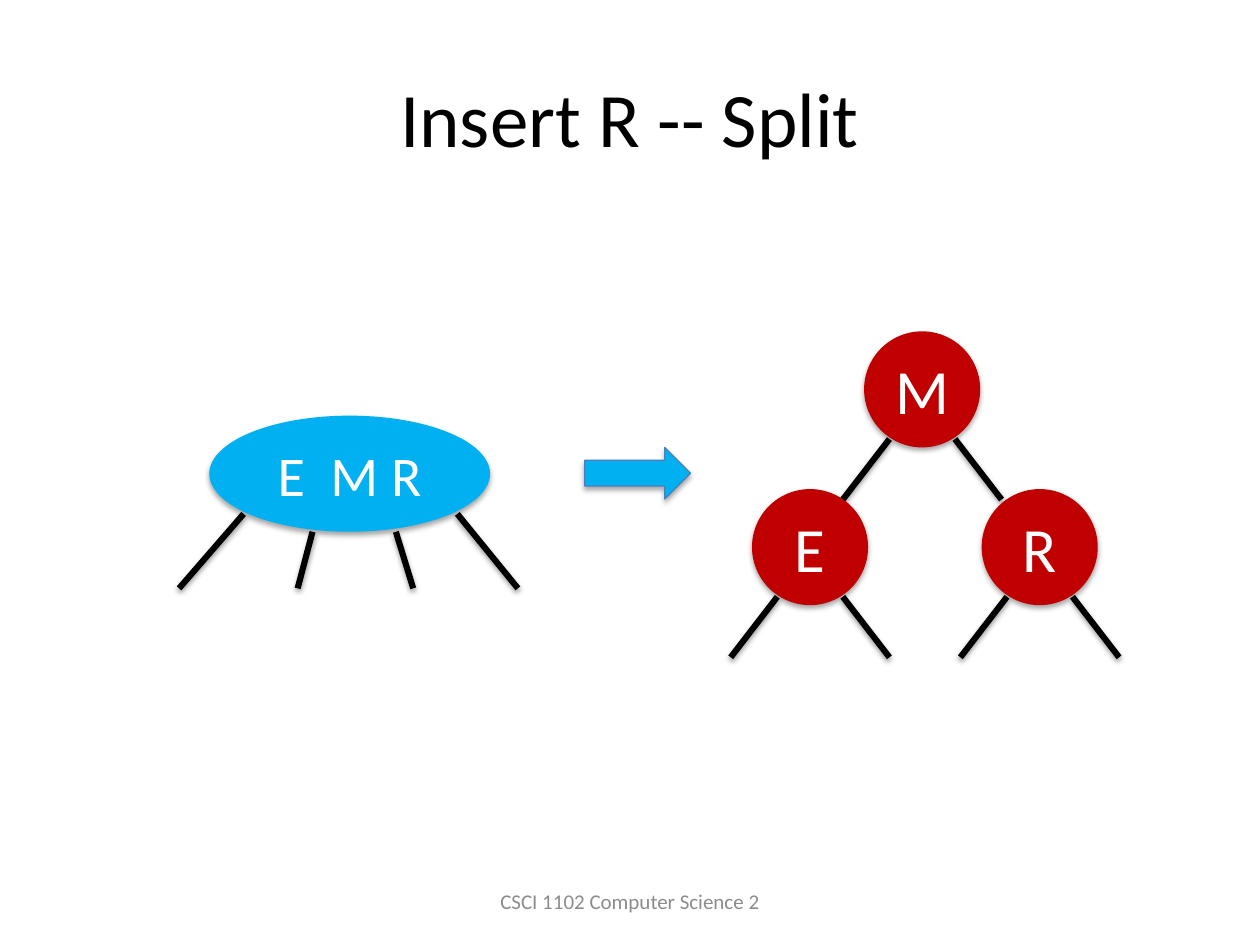
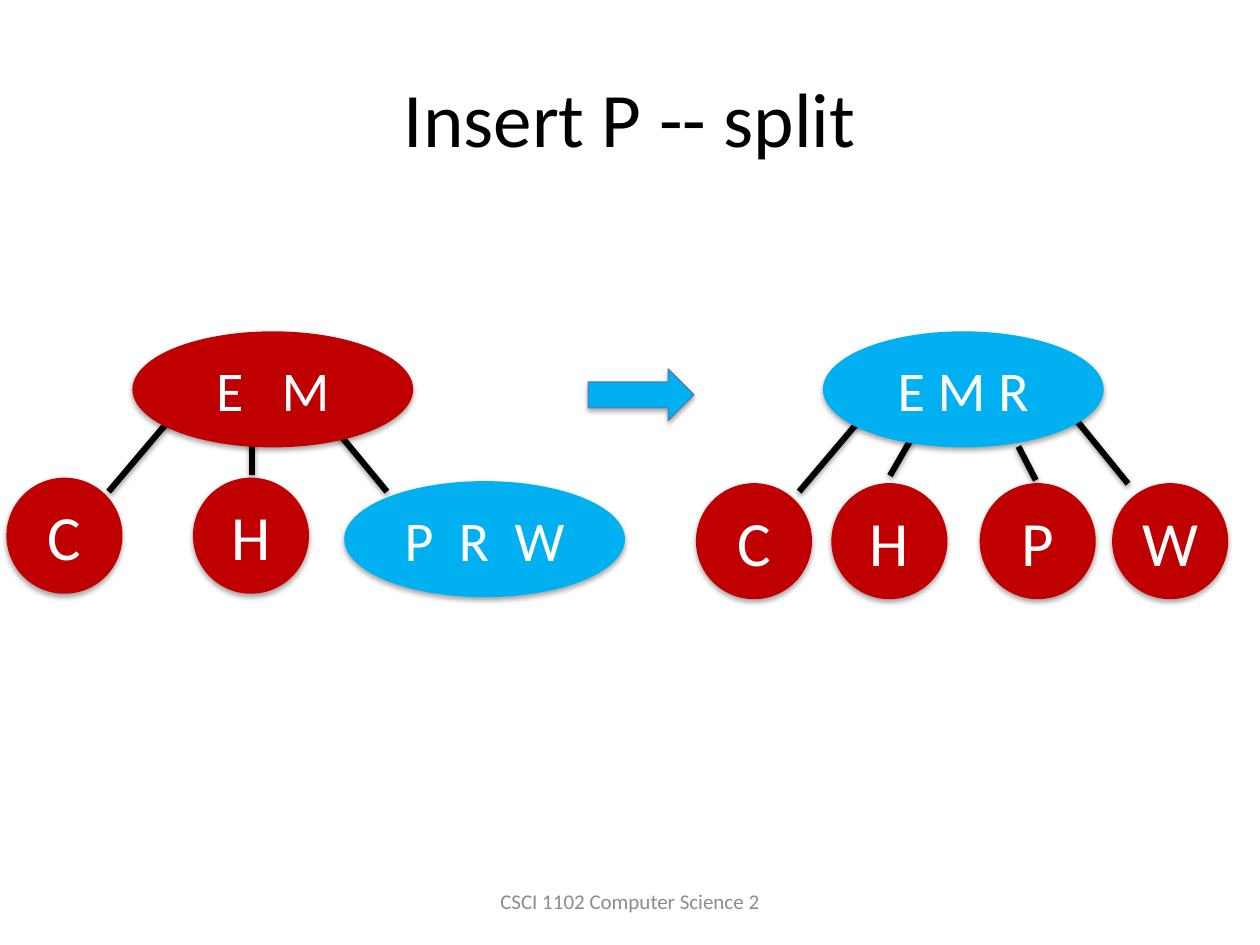
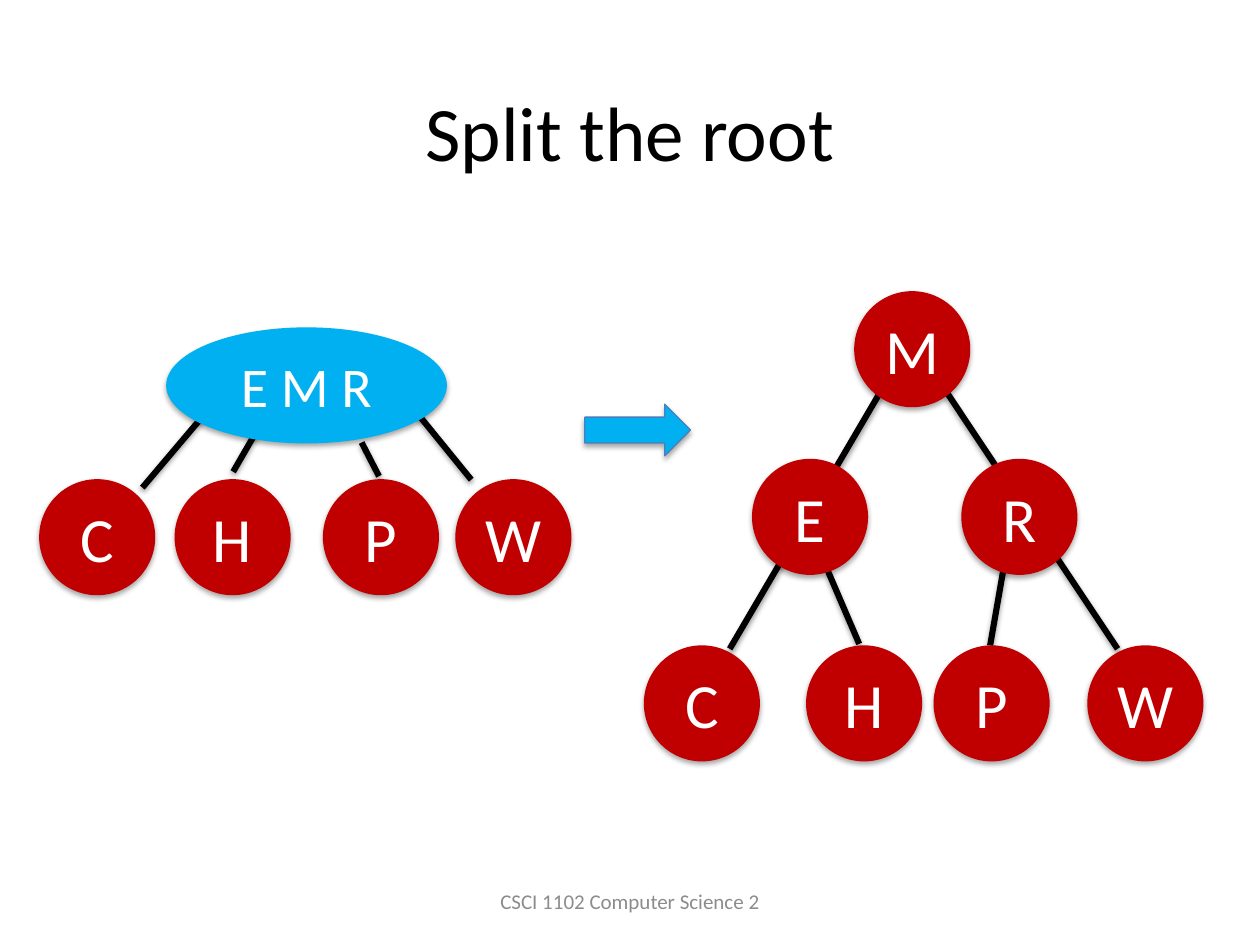
from dataclasses import dataclass

import lxml.etree
import pptx
import pptx.dml.color
import pptx.enum.shapes
import pptx.enum.text
import pptx.oxml.ns
import pptx.shapes.base
import pptx.slide
import pptx.text.text
import pptx.util
from pptx.util import Cm, Pt

COLOURS = {
    "page": "FFFFFF",
    "title": "000000",
    "footer": "8C8C8C",
    "link": "000000",
    "settled": "C00000",
    "overfull": "00B0F0",
    "arrow_edge": "4B7EBC",
    "key": "FFFFFF",
    "shadow": "000000",
}
FONT = "Calibri"
FOOTER = "CSCI 1102 Computer Science 2"
TITLE_ONLY = 5
NODE_HEIGHT = 2.34
WIDE_NODE = 5.66
SPACE_WIDTH = 0.226  # width of a space, in ems


@dataclass(frozen=True)
class Node:
    """A tree node, placed in cm from its root; gaps counts space widths between keys."""
    keys: str
    left: float = 0
    top: float = 0
    colour: str = "settled"
    gaps: tuple[int, ...] = ()


@dataclass(frozen=True)
class Link:
    start_x: float
    start_y: float
    end_x: float
    end_y: float


@dataclass(frozen=True)
class Tree:
    nodes: tuple[Node, ...]
    links: tuple[Link, ...]


@dataclass(frozen=True)
class Placed:
    tree: Tree
    left: float
    top: float


@dataclass(frozen=True)
class Step:
    title: str
    arrow_left: float
    arrow_top: float
    trees: tuple[Placed, ...]
    title_top: float = 0.76


def fork(key: str) -> Tree:
    """A single-key node with two mirrored legs."""
    return Tree(
        (Node(key),),
        (Link(0.51, 2.17, -0.43, 3.39),
         Link(NODE_HEIGHT - 0.51, 2.17, NODE_HEIGHT + 0.43, 3.39)),
    )


FOUR_NODE = Tree(
    (Node("EMR", colour="overfull", gaps=(2, 1)),),
    (Link(0.69, 1.98, -0.61, 3.48), Link(2.08, 2.34, 1.78, 3.48),
     Link(3.76, 2.34, 4.11, 3.48), Link(5, 1.98, 6.22, 3.48)),
)
FULL_LEAF = Tree(
    (Node("PRW", 4.27, 3.02, "overfull", (2, 2)), Node("H", 1.22, 2.95),
     Node("C", -2.54, 2.95), Node("EM", gaps=(3,))),
    (Link(0.79, 1.73, -0.48, 3.23), Link(2.41, 1.98, 2.41, 2.9),
     Link(3.89, 1.73, 5.13, 3.23)),
)
FULL_ROOT = Tree(
    (Node("C", -2.56, 3.06), Node("H", 0.17, 3.06), Node("P", 3.16, 3.06),
     Node("W", 5.83, 3.06), Node("EMR", colour="overfull", gaps=(1, 1))),
    (Link(0.79, 1.73, -0.48, 3.23), Link(1.83, 2.08, 1.35, 2.91),
     Link(3.94, 2.32, 4.29, 3), Link(4.93, 1.57, 6.15, 3.07)),
)
SPLIT_ROOT = Tree(
    (Node("C", -4.24, 7.14), Node("H", -0.97, 7.14), Node("P", 1.6, 7.14),
     Node("W", 4.7, 7.14), Node("M"), Node("E", -2.06, 3.38), Node("R", 2.16, 3.38)),
    (Link(0.51, 2.06, -2.51, 7.21), Link(1.88, 2.06, 5.31, 7.21),
     Link(3.02, 5.54, 2.74, 7.14), Link(-0.53, 5.64, 0.1, 7.11)),
)

STEPS = (
    Step("Insert R -- Split", 11.79, 9.02, (
        Placed(FOUR_NODE, 4.22, 8.38),
        Placed(fork("M"), 17.42, 6.68),
        Placed(fork("E"), 15.16, 9.86),
        Placed(fork("R"), 19.79, 9.86),
    )),
    Step("Insert P -- split", 11.86, 7.44, (
        Placed(FULL_LEAF, 2.67, 6.68),
        Placed(FULL_ROOT, 16.59, 6.68),
    )),
    Step("Split the root", 11.79, 8.15, (
        Placed(FULL_ROOT, 3.35, 6.6),
        Placed(SPLIT_ROOT, 17.22, 5.87),
    ), title_top=1.04),
)


def rgb(name: str) -> pptx.dml.color.RGBColor:
    return pptx.dml.color.RGBColor.from_string(COLOURS[name])


def add_span(para: pptx.text.text._Paragraph, text: str, size: int, colour: str,
             tracking: float = 0) -> None:
    """Add a run; tracking is extra letter spacing in points."""
    para.alignment = pptx.enum.text.PP_ALIGN.CENTER
    span = para.add_run()
    span.text = text
    span.font.size = Pt(size)
    span.font.name = FONT
    span.font.color.rgb = rgb(colour)
    if tracking:
        span.font._element.set("spc", str(round(tracking * 100)))


def add_shadow(shape: pptx.shapes.base.BaseShape, distance: float, opacity: int) -> None:
    """Append a soft downward shadow; call it after fill and line are set."""
    qn = pptx.oxml.ns.qn
    effects = lxml.etree.SubElement(shape.element.spPr, qn("a:effectLst"))
    shadow = lxml.etree.SubElement(
        effects, qn("a:outerShdw"), blurRad=str(Pt(3.1)), dist=str(Pt(distance)),
        dir="5400000", rotWithShape="0")
    tint = lxml.etree.SubElement(shadow, qn("a:srgbClr"), val=COLOURS["shadow"])
    lxml.etree.SubElement(tint, qn("a:alpha"), val=str(opacity * 1000))


def add_link(page: pptx.slide.Slide, link: Link, left: float, top: float) -> None:
    line = page.shapes.add_connector(
        pptx.enum.shapes.MSO_CONNECTOR.STRAIGHT,
        Cm(left + link.start_x), Cm(top + link.start_y),
        Cm(left + link.end_x), Cm(top + link.end_y))
    line.line.color.rgb = rgb("link")
    line.line.width = Pt(3.5)
    add_shadow(line, 1.6, 38)


def add_node(page: pptx.slide.Slide, node: Node, left: float, top: float) -> None:
    is_wide = len(node.keys) > 1
    size = 32 if is_wide else 36
    oval = page.shapes.add_shape(
        pptx.enum.shapes.MSO_SHAPE.OVAL, Cm(left + node.left), Cm(top + node.top),
        Cm(WIDE_NODE if is_wide else NODE_HEIGHT), Cm(NODE_HEIGHT))
    oval.fill.solid()
    oval.fill.fore_color.rgb = rgb(node.colour)
    oval.line.fill.background()
    add_shadow(oval, 1.8, 35)
    frame = oval.text_frame
    frame.word_wrap = False
    frame.vertical_anchor = pptx.enum.text.MSO_ANCHOR.MIDDLE
    para = frame.paragraphs[0]
    add_span(para, node.keys[0], size, "key")
    for gap, key in zip(node.gaps, node.keys[1:]):
        add_span(para, " ", size, "key", (gap - 1) * SPACE_WIDTH * size)
        add_span(para, key, size, "key")


def add_tree(page: pptx.slide.Slide, placed: Placed) -> None:
    for link in placed.tree.links:
        add_link(page, link, placed.left, placed.top)
    for node in placed.tree.nodes:
        add_node(page, node, placed.left, placed.top)


def add_arrow(page: pptx.slide.Slide, left: float, top: float) -> None:
    arrow = page.shapes.add_shape(
        pptx.enum.shapes.MSO_SHAPE.RIGHT_ARROW, Cm(left), Cm(top), Cm(2.13), Cm(1.04))
    arrow.fill.solid()
    arrow.fill.fore_color.rgb = rgb("overfull")
    arrow.line.color.rgb = rgb("arrow_edge")
    arrow.line.width = Pt(0.75)
    add_shadow(arrow, 1.8, 35)


def set_title(page: pptx.slide.Slide, text: str, top: float) -> None:
    title = page.shapes.title
    title.left, title.top, title.width, title.height = Cm(1.27), Cm(top), Cm(22.86), Cm(3.18)
    title.text_frame.vertical_anchor = pptx.enum.text.MSO_ANCHOR.MIDDLE
    add_span(title.text_frame.paragraphs[0], text, 44, "title")


def add_footer(page: pptx.slide.Slide) -> None:
    box = page.shapes.add_textbox(Cm(8.68), Cm(17.65), Cm(8.04), Cm(1.02))
    box.text_frame.word_wrap = True
    box.text_frame.vertical_anchor = pptx.enum.text.MSO_ANCHOR.MIDDLE
    add_span(box.text_frame.paragraphs[0], FOOTER, 12, "footer")


def add_step(deck: pptx.presentation.Presentation, step: Step) -> None:
    page = deck.slides.add_slide(deck.slide_layouts[TITLE_ONLY])
    page.background.fill.solid()
    page.background.fill.fore_color.rgb = rgb("page")
    set_title(page, step.title, step.title_top)
    add_footer(page)
    for placed in step.trees:
        add_tree(page, placed)
    add_arrow(page, step.arrow_left, step.arrow_top)


def main() -> None:
    deck = pptx.Presentation()
    deck.slide_width, deck.slide_height = Cm(25.4), Cm(19.05)
    for step in STEPS:
        add_step(deck, step)
    deck.save("out.pptx")


if __name__ == "__main__":
    main()
